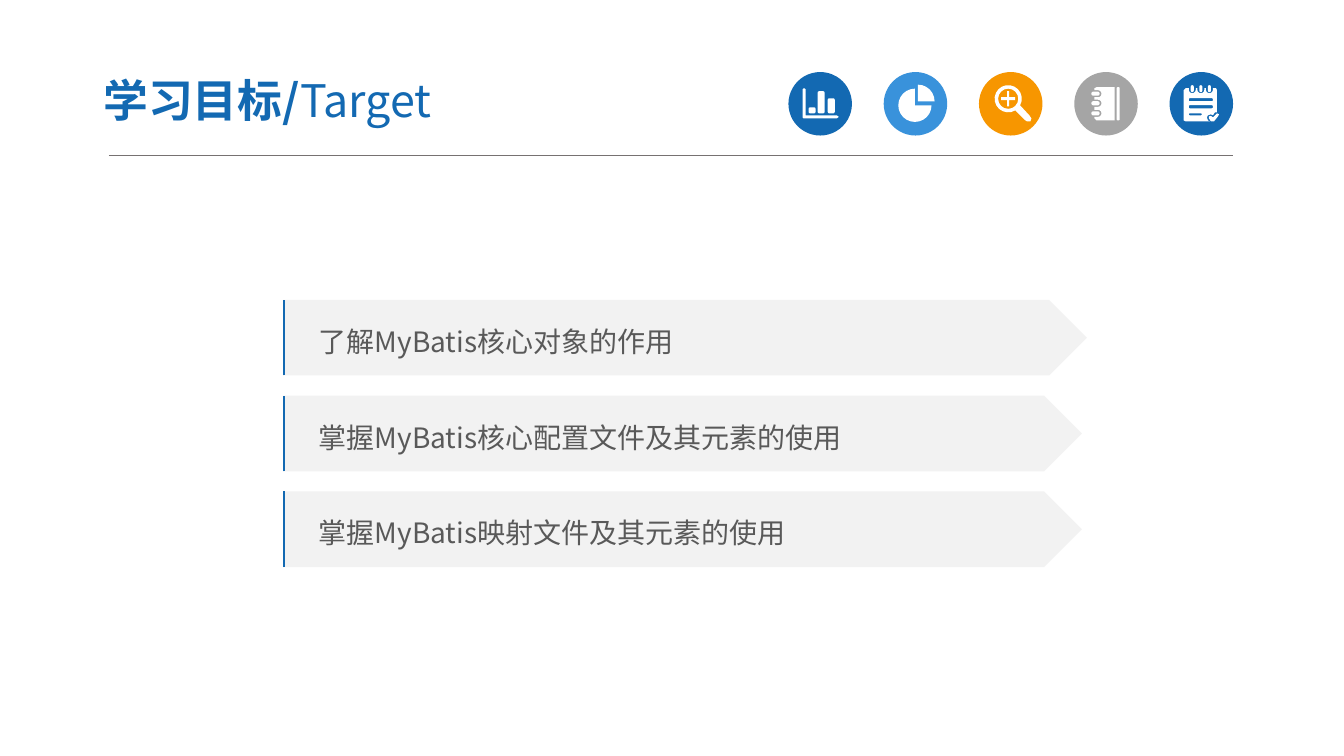
from math import cos, radians, sin

from lxml.etree import SubElement
from pptx import Presentation
from pptx.dml.color import RGBColor
from pptx.enum.shapes import MSO_CONNECTOR, MSO_SHAPE as Preset
from pptx.enum.text import MSO_ANCHOR as Anchor, PP_ALIGN as Align
from pptx.oxml.ns import qn
from pptx.util import Inches, Pt

BLUE = RGBColor(0x13, 0x69, 0xB2)
SKY = RGBColor(0x39, 0x92, 0xDB)
ORANGE = RGBColor(0xF7, 0x96, 0x00)
GREY = RGBColor(0xA5, 0xA5, 0xA5)
RULE_GREY = RGBColor(0x76, 0x71, 0x71)
PLATE_GREY = RGBColor(0xF2, 0xF2, 0xF2)
TEXT_GREY = RGBColor(0x59, 0x59, 0x59)
WHITE = RGBColor(0xFF, 0xFF, 0xFF)

COLUMNS, ROWS = 1333, 750
BADGE_LEFT, BADGE_TOP, BADGE_SIZE, BADGE_STEP = 782, 71.5, 63, 94.5
GOAL_LEFT, GOAL_TOP, GOAL_HEIGHT, GOAL_STEP = 281, 297.5, 75, 95
EDGE_WIDTH = 12


class TargetSlide:
    """Holds the slide and its style; all lengths are grid columns and rows."""

    font_name = "Noto Sans CJK SC"

    def __init__(self, deck):
        self.slide = deck.slides.add_slide(deck.slide_layouts[6])
        self.shapes = self.slide.shapes
        self.column = deck.slide_width / COLUMNS
        self.row = deck.slide_height / ROWS

    def at(self, x, y):
        return round(x * self.column), round(y * self.row)

    def shape(self, preset, left, top, width, height, fill):
        item = self.shapes.add_shape(preset, *self.at(left, top),
                                     *self.at(width, height))
        item.shadow.inherit = False
        item.fill.solid()
        item.fill.fore_color.rgb = fill
        item.line.fill.background()
        return item

    def rule(self, start, end, color, weight):
        line = self.shapes.add_connector(MSO_CONNECTOR.STRAIGHT,
                                         *self.at(*start), *self.at(*end))
        line.line.color.rgb = color
        line.line.width = Pt(weight)
        SubElement(line._element.spPr, qn("a:effectLst"))

    def edge(self, left, top, height):
        """Draw an open upright stroke along the left side of its frame."""
        builder = self.shapes.build_freeform(*self.at(left, top + height))
        builder.add_line_segments([self.at(left, top)], close=False)
        builder.move_to(*self.at(left + EDGE_WIDTH, top))
        stroke = builder.convert_to_shape()
        stroke.shadow.inherit = False
        stroke.fill.background()
        stroke.line.color.rgb = BLUE
        stroke.line.width = Pt(1.5)

    def icon(self, left, top, contours):
        """Draw contours as one white outline; inner contours become holes."""
        placed = [[self.at(left + x, top + y) for x, y in contour]
                  for contour in contours]
        builder = self.shapes.build_freeform(*placed[0][0])
        for index, (first, *rest) in enumerate(placed):
            if index:
                builder.move_to(*first)
            builder.add_line_segments(rest, close=True)
        outline = builder.convert_to_shape()
        outline.shadow.inherit = False
        outline.fill.solid()
        outline.fill.fore_color.rgb = WHITE
        outline.line.fill.background()

    def badge(self, position, color, contours):
        left = BADGE_LEFT + position * BADGE_STEP
        self.shape(Preset.OVAL, left, BADGE_TOP, BADGE_SIZE, BADGE_SIZE, color)
        self.icon(left, BADGE_TOP, contours)

    def style(self, paragraph, size, color):
        paragraph.alignment = Align.LEFT
        font = paragraph.font
        font.size = Pt(size)
        font.name = self.font_name
        font.color.rgb = color
        defaults = paragraph._p.pPr.find(qn("a:defRPr"))
        SubElement(defaults, qn("a:ea"), typeface=self.font_name)

    def title(self, left, top, width, height, strong, light):
        frame = self.shapes.add_textbox(*self.at(left, top),
                                        *self.at(width, height)).text_frame
        frame.word_wrap = True
        frame.vertical_anchor = Anchor.MIDDLE
        frame.margin_left = frame.margin_right = Inches(0.13)
        frame.margin_top = frame.margin_bottom = Inches(0.07)
        heading = frame.paragraphs[0]
        for words, bold in ((strong, True), (light, False)):
            run = heading.add_run()
            run.text = words
            run.font.bold = bold
        self.style(heading, 32, BLUE)

    def goal(self, position, width, words):
        top = GOAL_TOP + position * GOAL_STEP
        plate = self.shape(Preset.PENTAGON, GOAL_LEFT, top, width, GOAL_HEIGHT,
                           PLATE_GREY)
        frame = plate.text_frame
        frame.word_wrap = True
        frame.vertical_anchor = Anchor.MIDDLE
        frame.margin_left = Inches(0.35)
        goal_text = frame.paragraphs[0]
        goal_text.text = words
        goal_text.line_spacing = 1.2
        self.style(goal_text, 20, TEXT_GREY)
        self.edge(GOAL_LEFT + 1, top, GOAL_HEIGHT)


def arc(x, y, radius, start, end, steps=6):
    """Points on a circle, by angles in degrees, clockwise from the right."""
    angles = [radians(start + (end - start) * i / steps) for i in range(steps + 1)]
    return [(x + radius * cos(a), y + radius * sin(a)) for a in angles]


def bar(x, y, width, height, radius=1.5):
    right, bottom = x + width - radius, y + height - radius
    corners = ((right, bottom), (x + radius, bottom),
               (x + radius, y + radius), (right, y + radius))
    return [point for i, corner in enumerate(corners)
            for point in arc(*corner, radius, 90 * i, 90 * i + 90, 2)]


def bar_chart_icon():
    axes = [(14, 17), (15.5, 16), (17, 17), (17, 43), (48, 43), (50, 44.5),
            (48, 46), (15, 46), (14, 45)]
    return [axes] + [bar(x, 41 - height, 7, height)
                     for x, height in ((20, 6), (29, 22), (39, 15))]


def pie_icon():
    return [[(34, 29), *arc(34, 29, 16.5, -90, 0)],
            [(31, 33), *arc(31, 33, 16.5, 0, 270, 18)]]


def magnifier_icon():
    handle = [(50, 43), (52, 46), (51, 49), (48, 49), (46, 48)]
    plus = [(28, 19), (30, 19), (30, 25), (36, 25), (36, 28), (30, 28),
            (30, 34), (28, 34), (28, 28), (22, 28), (22, 25), (28, 25)]
    return [arc(29, 26.5, 13.5, 59, 389, 18) + handle,
            arc(29, 26.5, 10, 0, 360, 16), plus]


def notebook_icon():
    cover = [(40, 15), (40, 48), (22, 48), (20, 46)]
    ring_rows = (41, 31, 21.5)
    for y in ring_rows:
        cover += [(20, y + 3.5), *arc(23.5, y, 3.5, 90, -90), (20, y - 3.5)]
    cover += [(20, 16), (22, 15)]
    return [cover, bar(42, 15, 3, 33, 1)] + [bar(17, y - 2, 8, 4)
                                            for y in ring_rows]


def checklist_icon():
    ring_columns = (22.5, 31, 39.5)
    page = [(14, 18), (16, 16)]
    for x in ring_columns:
        page += [(x - 3.5, 16), *arc(x, 17.5, 3.5, 180, 0), (x + 3.5, 16)]
    page += [(46, 16), (47, 18), (47, 40), (45, 40), (43, 43), (41, 42),
             (38, 43), (37, 45), (38, 48), (40, 49), (16, 49), (14, 48)]
    check = [(48, 44), (44, 49), (41, 49), (39, 46), (39, 44), (41, 43.5),
             (43, 45), (46, 42), (47, 41), (49, 42)]
    entries = [bar(19, y, width, height, 1) for y, width, height
               in ((26, 24, 3), (33, 24, 3), (41, 13, 2))]
    return [page, check, *entries] + [bar(x - 1.5, 13, 3, 7)
                                      for x in ring_columns]


def main():
    deck = Presentation()
    deck.slide_width, deck.slide_height = Inches(13.33), Inches(7.5)
    target = TargetSlide(deck)

    target.rule((108, 154.5), (1223, 154.5), RULE_GREY, 0.5)
    badges = ((BLUE, bar_chart_icon()), (SKY, pie_icon()),
              (ORANGE, magnifier_icon()), (GREY, notebook_icon()),
              (BLUE, checklist_icon()))
    for position, (color, contours) in enumerate(badges):
        target.badge(position, color, contours)

    target.title(89.5, 63, 522, 72, "学习目标/", "Target")
    goals = ((797, "了解MyBatis核心对象的作用"),
             (792, "掌握MyBatis核心配置文件及其元素的使用"),
             (792, "掌握MyBatis映射文件及其元素的使用"))
    for position, (width, words) in enumerate(goals):
        target.goal(position, width, words)

    deck.save("out.pptx")


if __name__ == "__main__":
    main()
